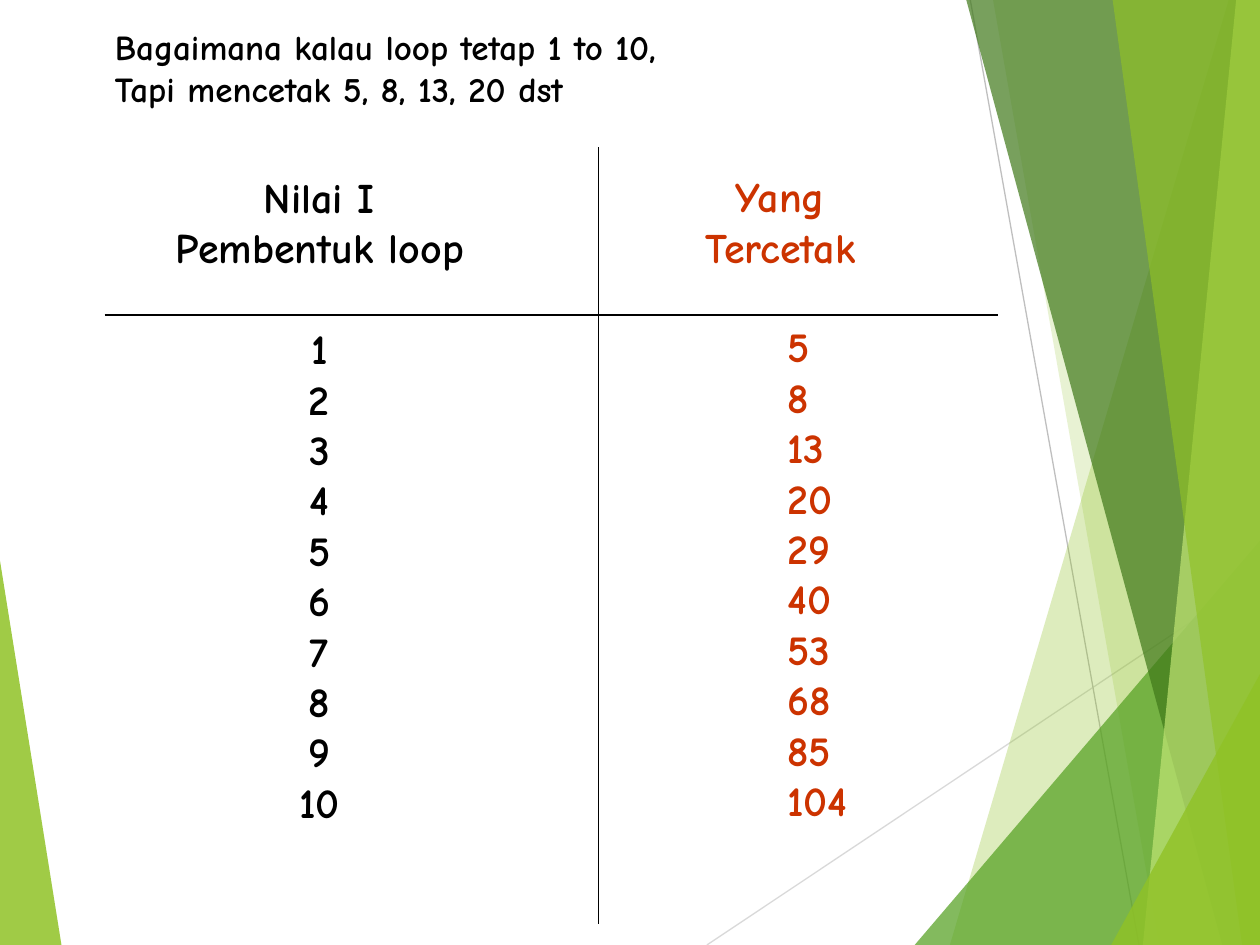
from lxml import etree
from pptx import Presentation
from pptx import util as u
from pptx.dml.color import RGBColor
from pptx.enum import shapes, text
from pptx.oxml.ns import qn

FONT = "Comic Neue"
BLACK, RED = "000000", "CC3300"
GREEN, LEAF, FOREST, LIME = "90C226", "54A021", "3F7819", "C0E474"
W, H = 25.4, 19.05  # slide size in cm


def paint(color, hex_value):
    color.rgb = RGBColor.from_string(hex_value)


def write(sp, box, lines, size=24, color=BLACK, align=text.PP_ALIGN.CENTER, gaps=()):
    """Place sp and fill it; gaps holds the indexes of lines with a line's space before."""
    sp.left, sp.top, sp.width, sp.height = (u.Cm(v) for v in box)
    tf = sp.text_frame
    tf.text = "\n".join(lines)
    tf.word_wrap = False
    tf.auto_size = text.MSO_AUTO_SIZE.NONE
    tf.vertical_anchor = text.MSO_ANCHOR.TOP
    for i, p in enumerate(tf.paragraphs):
        pPr = p._p.get_or_add_pPr()
        pPr.set("marL", "0")
        pPr.set("indent", "0")
        etree.SubElement(pPr, qn("a:buNone"))
        p.alignment = align
        p.space_before = u.Pt(size * 1.2 if i in gaps else 0)
        for r in p.runs:
            r.font.name, r.font.size, r.font.bold = FONT, u.Pt(size), True
            paint(r.font.color, color)


def add_line(slide, x1, y1, x2, y2, color=BLACK):
    line = slide.shapes.add_connector(
        shapes.MSO_CONNECTOR.STRAIGHT, *(u.Cm(v) for v in (x1, y1, x2, y2)))
    paint(line.line.color, color)
    line.line.width = u.Pt(0.75)
    etree.SubElement(line._element.spPr, qn("a:effectLst"))


def add_facet(slide, points, color, opacity):
    start, *rest = [(u.Cm(x), u.Cm(y)) for x, y in points]
    builder = slide.shapes.build_freeform(*start)
    builder.add_line_segments(rest, close=True)
    sp = builder.convert_to_shape()
    sp.shadow.inherit = False
    sp.fill.solid()
    paint(sp.fill.fore_color, color)
    clr = sp._element.spPr.find(".//" + qn("a:srgbClr"))
    etree.SubElement(clr, qn("a:alpha"), val=str(opacity * 1000))
    sp.line.fill.background()


def add_left_wedge(slide, left, top, width, height):
    bottom = top + height
    add_facet(slide, [(left, top), (left + width, bottom), (left, bottom)], GREEN, 85)


def add_right_fan(slide, left, top, width, height):
    right, bottom = left + width, top + height

    def band(x_top, x_bottom, color, opacity):
        add_facet(slide, [(left + x_top, top), (left + x_bottom, bottom),
                          (right, bottom), (right, top)], color, opacity)

    def corner(x, y, color, opacity):
        add_facet(slide, [(left + x, bottom), (right, top + y), (right, bottom)],
                  color, opacity)

    add_line(slide, left, bottom, right, top + 11.61, "D9D9D9")
    add_line(slide, left + 5.31, top, left + 8.71, bottom, "BFBFBF")
    band(10.52, 4.9, GREEN, 30)
    band(5.77, 9.12, GREEN, 20)
    corner(4.19, 10.9, LEAF, 72)
    band(5.23, 10.39, FOREST, 70)
    band(10.67, 8.79, LIME, 70)
    band(8.18, 10.79, GREEN, 65)
    corner(8.15, 13.59, GREEN, 80)


def add_comparison(slide, left, top, width, height):
    """Loop values and printed values, split by a cross of two rules."""
    loop = range(1, 11)
    loop_body, printed_body = slide.placeholders[1], slide.placeholders[2]
    write(slide.shapes.add_textbox(0, 0, 0, 0), (left + 11.81, top + 0.35, 3.63, 3.3),
          ["Yang", "Tercetak"], color=RED)
    write(loop_body, (left + 1.07, top + 0.36, 6.52, 13.46),
          ["Nilai I", "Pembentuk loop", *map(str, loop)], gaps=(2,))
    write(printed_body, (left + 13.51, top + 3.37, 1.83, 10.41),
          [str(i * i + 4) for i in loop], color=RED, align=text.PP_ALIGN.LEFT)
    add_line(slide, left, top + 3.38, left + width, top + 3.38)
    add_line(slide, left + 9.96, top, left + 9.96, top + height)


def main():
    prs = Presentation()
    prs.slide_width, prs.slide_height = u.Cm(W), u.Cm(H)
    slide = prs.slides.add_slide(prs.slide_layouts.get_by_name("Two Content"))
    add_left_wedge(slide, 0, 11.3, 1.24, H - 11.3)
    add_right_fan(slide, 14.25, 0, W - 14.25, H)
    write(slide.shapes.title, (2.06, 0.38, 11.83, 1.96),
          ["Bagaimana kalau loop tetap 1 to 10,", "Tapi mencetak 5, 8, 13, 20 dst"],
          size=20, align=text.PP_ALIGN.LEFT)
    add_comparison(slide, 2.11, 2.97, 18.01, 15.65)
    prs.save("out.pptx")


if __name__ == "__main__":
    main()
